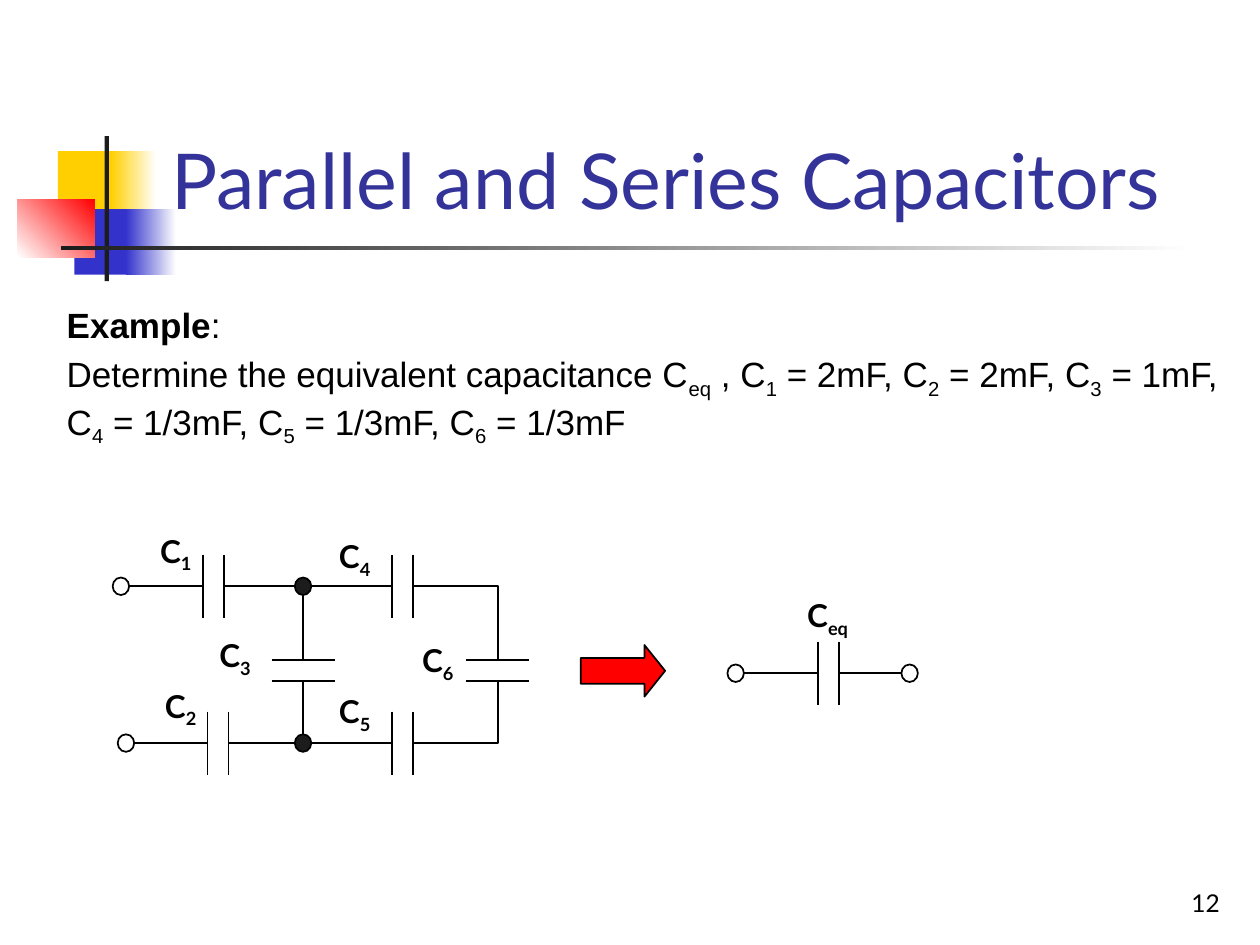
from dataclasses import dataclass

from lxml.etree import SubElement
from pptx import Presentation
from pptx.dml.color import RGBColor
from pptx.enum.shapes import MSO_CONNECTOR, MSO_SHAPE
from pptx.enum.text import MSO_ANCHOR, PP_ALIGN
from pptx.oxml.ns import qn
from pptx.util import Pt


@dataclass(frozen=True)
class Theme:
    """Colours, fonts and type sizes of the slide."""
    yellow: str = "FFCF01"
    blue: str = "3333CC"
    red: str = "FF0000"
    dark: str = "1C1C1C"
    white: str = "FFFFFF"
    black: str = "000000"
    title: str = "333399"
    display_font: str = "Lato"
    body_font: str = "Arial"
    title_size: float = 44
    body_size: float = 20
    label_size: float = 18
    number_size: float = 14


THEME = Theme()
PLATE_GAP = 12
PLATE_HALF = 18
TOP_ROW, MIDDLE_ROW, BOTTOM_ROW = 335, 383, 424.6
RESULT_ROW = 384.7
NODE_WIDTH, NODE_HEIGHT = 9.4, 10


def color(value):
    """Return the RGB colour for a hex value."""
    return RGBColor.from_string(value)


def add_block(shapes, frame, kind=MSO_SHAPE.RECTANGLE, fill=None, fade=None, angle=0, line=None):
    """Add a preset shape with a solid fill or a two-colour fade."""
    block = shapes.add_shape(kind, *map(Pt, frame))
    block.shadow.inherit = False
    if fade:
        block.fill.gradient()
        block.fill.gradient_angle = angle
        for stop, value in zip(block.fill.gradient_stops, fade):
            stop.color.rgb = color(value)
    else:
        block.fill.solid()
        block.fill.fore_color.rgb = color(fill)
    if line:
        block.line.color.rgb = color(line)
        block.line.width = Pt(1)
    else:
        block.line.fill.background()
    return block


def add_text(shapes, frame, paragraphs, size, font=THEME.display_font, ink=THEME.black,
             align=PP_ALIGN.LEFT, anchor=MSO_ANCHOR.TOP, space=0):
    """Add paragraphs of (text, style) spans, where style is "", "bold", "sub" or "bold sub"."""
    box = shapes.add_textbox(*map(Pt, frame))
    text_frame = box.text_frame
    text_frame.word_wrap = True
    text_frame.vertical_anchor = anchor
    for index, spans in enumerate(paragraphs):
        para = text_frame.add_paragraph() if index else text_frame.paragraphs[0]
        para.alignment = align
        if index:
            para.space_before = Pt(space)
        for text, style in spans:
            span = para.add_run()
            span.text = text
            span.font.name = font
            span.font.size = Pt(size)
            span.font.bold = "bold" in style
            span.font.color.rgb = color(ink)
            if "sub" in style:
                span._r.get_or_add_rPr().set("baseline", "-25000")
    return box


def add_wire(shapes, start, end, corner=False):
    """Add a straight wire, or one that runs sideways and then turns once."""
    kind = MSO_CONNECTOR.ELBOW if corner else MSO_CONNECTOR.STRAIGHT
    wire = shapes.add_connector(kind, *map(Pt, (*start, *end)))
    wire.line.color.rgb = color(THEME.black)
    wire.line.width = Pt(1)
    properties = wire._element.spPr
    SubElement(properties, qn("a:effectLst"))
    if corner:
        properties.find(qn("a:prstGeom")).set("prst", "bentConnector2")


def add_capacitor(shapes, x, y, flat=False):
    """Add two plates around a centre, upright or lying flat."""
    for offset in (-PLATE_GAP / 2, PLATE_GAP / 2):
        if flat:
            add_wire(shapes, (x - PLATE_HALF, y + offset), (x + PLATE_HALF, y + offset))
        else:
            add_wire(shapes, (x + offset, y - PLATE_HALF), (x + offset, y + PLATE_HALF))


def add_node(shapes, x, y, fill):
    """Add a terminal or junction dot around a centre."""
    frame = (x - NODE_WIDTH / 2, y - NODE_HEIGHT / 2, NODE_WIDTH, NODE_HEIGHT)
    add_block(shapes, frame, MSO_SHAPE.OVAL, fill=fill, line=THEME.black)


def add_label(shapes, x, y, index):
    """Add a capacitor name centred on x with its box top at y."""
    add_text(shapes, (x - 26, y, 52, 29), [[("C", "bold"), (index, "bold sub")]],
             THEME.label_size, align=PP_ALIGN.CENTER)


def add_branch(shapes, left, capacitor, right, y):
    """Add a capacitor in a row with wires to the nodes at both sides."""
    add_wire(shapes, (left + NODE_WIDTH / 2, y), (capacitor - PLATE_GAP / 2, y))
    add_capacitor(shapes, capacitor, y)
    add_wire(shapes, (capacitor + PLATE_GAP / 2, y), (right - NODE_WIDTH / 2, y))


def add_decoration(shapes):
    """Add the coloured squares and the crossing bars by the title."""
    add_block(shapes, (33.1, 86.4, 34.6, 37.4), fill=THEME.yellow)
    add_block(shapes, (63.4, 86.4, 25.9, 37.4), fade=(THEME.yellow, THEME.white))
    add_block(shapes, (42.5, 119.5, 33.1, 37.4), fill=THEME.blue)
    add_block(shapes, (72, 119.5, 28.8, 37.4), fade=(THEME.blue, THEME.white))
    add_block(shapes, (10.1, 113.8, 43.9, 33.1), fade=(THEME.white, THEME.red), angle=45)
    add_block(shapes, (59.8, 77.8, 2.4, 82.8), fill=THEME.dark)
    add_block(shapes, (34.6, 140.4, 648, 2.4), fade=(THEME.dark, THEME.white))


def add_network(shapes):
    """Add the circuit of six capacitors."""
    junction, inner, outer = 173.2, 230, 284.4
    half_gap = PLATE_GAP / 2
    for y, terminal, capacitor in ((TOP_ROW, 69.1, 122), (BOTTOM_ROW, 72, 124.6)):
        add_branch(shapes, terminal, capacitor, junction, y)
        add_capacitor(shapes, inner, y)
        add_wire(shapes, (junction + NODE_WIDTH / 2, y), (inner - half_gap, y))
        side = half_gap if y > MIDDLE_ROW else -half_gap
        add_wire(shapes, (inner + half_gap, y), (outer, MIDDLE_ROW + side), corner=True)
        add_wire(shapes, (junction, y), (junction, MIDDLE_ROW + side))
        add_node(shapes, terminal, y, THEME.white)
        add_node(shapes, junction, y, THEME.dark)
    for x in (junction, outer):
        add_capacitor(shapes, x, MIDDLE_ROW, flat=True)
    places = ((100.5, 300.2), (103.3, 388.8), (134.3, 360), (202.7, 303.1), (202.7, 391.7), (250.2, 362.9))
    for number, (x, y) in enumerate(places, start=1):
        add_label(shapes, x, y, str(number))


def add_equivalent(shapes):
    """Add the single equivalent capacitor."""
    left, right = 420.4, 519.8
    add_branch(shapes, left, 473.4, right, RESULT_ROW)
    for x in (left, right):
        add_node(shapes, x, RESULT_ROW, THEME.white)
    add_label(shapes, 473, 337, "eq")


def main():
    """Build and save the slide."""
    deck = Presentation()
    deck.slide_width, deck.slide_height = Pt(720), Pt(540)
    page = deck.slides.add_slide(deck.slide_layouts[6])
    shapes = page.shapes
    add_decoration(shapes)
    add_text(shapes, (90.7, 16.6, 613.4, 115.2), [[("Parallel and Series Capacitors", "")]],
             THEME.title_size, ink=THEME.title, anchor=MSO_ANCHOR.BOTTOM)
    values = (("eq", " , C"), ("1", " = 2mF, C"), ("2", " = 2mF, C"), ("3", " = 1mF, C"),
              ("4", " = 1/3mF, C"), ("5", " = 1/3mF, C"), ("6", " = 1/3mF"))
    question = [("Determine the equivalent capacitance C", "")]
    for index, rest in values:
        question += [(index, "sub"), (rest, "")]
    add_text(shapes, (31, 169.8, 675.4, 322), [[("Example", "bold"), (":", "")], question],
             THEME.body_size, font=THEME.body_font, space=4)
    add_network(shapes.add_group_shape().shapes)
    add_text(shapes, (554.4, 491.8, 149.8, 36), [[("12", "")]], THEME.number_size,
             align=PP_ALIGN.RIGHT, anchor=MSO_ANCHOR.BOTTOM)
    add_equivalent(shapes.add_group_shape().shapes)
    arrow = add_block(shapes, (331.9, 368.6, 48.2, 29.5), MSO_SHAPE.RIGHT_ARROW,
                      fill=THEME.red, line=THEME.black)
    arrow.adjustments[0], arrow.adjustments[1] = 0.5, 0.4
    deck.save("out.pptx")


if __name__ == "__main__":
    main()
